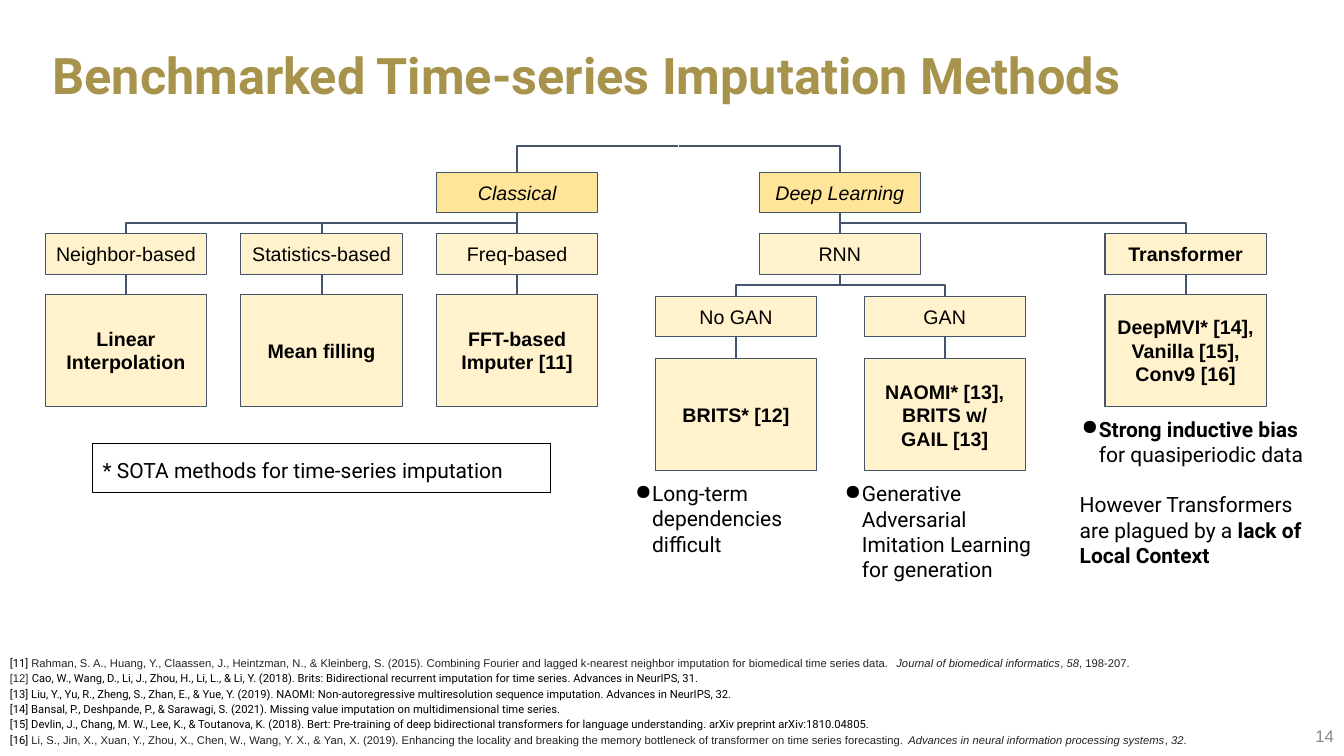
from lxml.etree import SubElement
from pptx import Presentation
from pptx.dml.color import RGBColor
from pptx.enum.shapes import MSO_CONNECTOR, MSO_SHAPE
from pptx.enum.text import MSO_ANCHOR, MSO_AUTO_SIZE, PP_ALIGN
from pptx.oxml.ns import qn
from pptx.util import Inches, Pt

SLIDE_W, SLIDE_H = 13.33, 7.5
BLACK, GREY, SLATE, WHITE = "000000", "222222", "44546A", "FFFFFF"
HEAD_FILL, BOX_FILL = "FFE599", "FFF2CC"
BOX_W, BOX_H, LEAF_H = 1.6, 0.4, 1.11

# Centre lines of the tree columns
NEIGHBOR, STATISTICS, CLASSICAL = [1.25 + 1.94 * i for i in range(3)]
DEEP, TRANSFORMER = 8.33, 11.76
NO_GAN, GAN = DEEP - 1.03, DEEP + 1.04
ROOT_X = (CLASSICAL + DEEP) / 2
# Tops of the tree rows
ROOT_Y, HEAD_Y, FAMILY_Y, LEAF_Y, SUB_Y, SUB_LEAF_Y = 1.45, 1.71, 2.32, 2.92, 2.94, 3.56

REFERENCES = [
    [("[11] ", {}),
     ("Rahman, S. A., Huang, Y., Claassen, J., Heintzman, N., & Kleinberg, S. (2015). Combining Fourier "
      "and lagged k-nearest neighbor imputation for biomedical time series data.  ", "cite"),
     ("Journal of biomedical informatics", "source"), (", ", "cite"), ("58", "source"), (", 198-207.", "cite")],
    [("[12] ", "cite"),
     ("Cao, W., Wang, D., Li, J., Zhou, H., Li, L., & Li, Y. (2018). Brits: Bidirectional recurrent "
      "imputation for time series. Advances in NeurIPS, 31.", {})],
    [("[13] Liu, Y., Yu, R., Zheng, S., Zhan, E., & Yue, Y. (2019). NAOMI: Non-autoregressive "
      "multiresolution sequence imputation. Advances in NeurIPS, 32.", {})],
    [("[14] Bansal, P., Deshpande, P., & Sarawagi, S. (2021). Missing value imputation on "
      "multidimensional time series.", {})],
    [("[15] Devlin, J., Chang, M. W., Lee, K., & Toutanova, K. (2018). Bert: Pre-training of deep "
      "bidirectional transformers for language understanding. arXiv preprint arXiv:1810.04805.", {})],
    [("[16] ", {}),
     ("Li, S., Jin, X., Xuan, Y., Zhou, X., Chen, W., Wang, Y. X., & Yan, X. (2019). Enhancing the locality "
      "and breaking the memory bottleneck of transformer on time series forecasting. ", "cite"),
     ("Advances in neural information processing systems", "source"), (", ", "cite"), ("32", "source"),
     (".", "cite")],
]
STYLES = {"cite": dict(font="Arial", color=GREY),
          "source": dict(font="Arial", color=GREY, italic=True)}


def rgb(color):
    return RGBColor.from_string(color)


def add_run(p, text, size, font="Roboto", color=BLACK, bold=False, italic=False):
    r = p.add_run()
    r.text = text
    f = r.font
    f.name, f.size, f.bold, f.italic = font, Pt(size), bold, italic
    f.color.rgb = rgb(color)


def set_frame(tf, anchor=MSO_ANCHOR.TOP, inset_y=0.1):
    tf.word_wrap = True
    tf.vertical_anchor = anchor
    tf.margin_left = tf.margin_right = Inches(0.1)
    tf.margin_top = tf.margin_bottom = Inches(inset_y)


def add_bullet(p):
    pPr = p._p.get_or_add_pPr()
    pPr.set("marL", str(Inches(0.19)))
    pPr.set("indent", str(-Inches(0.17)))
    SubElement(SubElement(pPr, qn("a:buClr")), qn("a:srgbClr")).set("val", BLACK)
    SubElement(pPr, qn("a:buChar")).set("char", "●")


def add_text(s, left, top, width, height):
    tb = s.shapes.add_textbox(Inches(left), Inches(top), Inches(width), Inches(height))
    set_frame(tb.text_frame)
    tb.text_frame.auto_size = MSO_AUTO_SIZE.SHAPE_TO_FIT_TEXT
    return tb


def add_note(s, left, top, width, height, *runs):
    """Bulleted remark below a leaf, given as (text, bold) runs."""
    tf = add_text(s, left, top, width, height).text_frame
    p = tf.paragraphs[0]
    add_bullet(p)
    for text, bold in runs:
        add_run(p, text, 15, bold=bold)
    return tf


def add_rect(s, left, top, width, height, fill, line):
    sp = s.shapes.add_shape(MSO_SHAPE.RECTANGLE, Inches(left), Inches(top), Inches(width), Inches(height))
    sp.shadow.inherit = False
    sp.fill.solid()
    sp.fill.fore_color.rgb = rgb(fill)
    sp.line.color.rgb = rgb(line)
    sp.line.width = Pt(0.75)
    return sp


def add_box(s, center, top, text, height=BOX_H, fill=BOX_FILL, bold=False, italic=False):
    sp = add_rect(s, center - BOX_W / 2, top, BOX_W, height, fill, SLATE)
    set_frame(sp.text_frame, MSO_ANCHOR.MIDDLE)
    p = sp.text_frame.paragraphs[0]
    p.alignment = PP_ALIGN.CENTER
    for i, part in enumerate(text.split("\n")):
        if i:
            p.add_line_break()
        add_run(p, part, 14, "Arial", bold=bold, italic=italic)
    return sp


def add_leaf(s, center, top, text):
    return add_box(s, center, top, text, LEAF_H, bold=True)


def add_line(s, kind, x1, y1, x2, y2):
    c = s.shapes.add_connector(kind, *[Inches(v) for v in (x1, y1, x2, y2)])
    c.line.color.rgb = rgb(SLATE)
    c.line.width = Pt(1.5)
    SubElement(c._element.spPr, qn("a:effectLst"))
    return c


def link(s, parent, child):
    """Straight line from the bottom of one box to the top of the next."""
    c = add_line(s, MSO_CONNECTOR.STRAIGHT, 0, 0, 0, 0)
    c.begin_connect(parent, 2)
    c.end_connect(child, 0)


def add_corner(s, x1, y1, x2, y2):
    """Line that runs sideways, then down."""
    c = add_line(s, MSO_CONNECTOR.ELBOW, x1, y1, x2, y2)
    c._element.spPr.find(qn("a:prstGeom")).set("prst", "bentConnector2")


def add_branch(s, x1, y1, x2, y2):
    """Line that runs down, sideways and down again, as a rotated elbow."""
    w, h = y2 - y1, abs(x2 - x1)
    left, top = (x1 + x2 - w) / 2, (y1 + y2 - h) / 2
    c = add_line(s, MSO_CONNECTOR.ELBOW, left, top, left + w, top + h)
    xfrm = c._element.spPr.find(qn("a:xfrm"))
    xfrm.set("rot", str((90 if x2 < x1 else 270) * 60000))
    if x2 > x1:
        xfrm.set("flipH", "1")


def add_title(s, text):
    title = s.shapes.title
    title.left, title.top, title.width, title.height = [Inches(v) for v in (0.42, 0.22, 12.5, 1.11)]
    set_frame(title.text_frame, MSO_ANCHOR.MIDDLE, 0.05)
    p = title.text_frame.paragraphs[0]
    p.alignment, p.line_spacing = PP_ALIGN.LEFT, 0.9
    add_run(p, text, 36, color="A7934B", bold=True)


def add_page_number(s, number):
    add_rect(s, 10.43, 6.22, 2.56, 1.28, WHITE, WHITE)
    tf = add_text(s, 10.33, 7.1, 3, 0.4).text_frame
    tf.auto_size = MSO_AUTO_SIZE.NONE
    set_frame(tf, MSO_ANCHOR.MIDDLE, 0.05)
    tf.paragraphs[0].alignment = PP_ALIGN.RIGHT
    add_run(tf.paragraphs[0], number, 12, "Arial", "888888")


def add_references(s):
    tf = add_text(s, 0, 6.39, 13.1, 1.13).text_frame
    for i, runs in enumerate(REFERENCES):
        p = tf.add_paragraph() if i else tf.paragraphs[0]
        p.line_spacing = 1.15
        for text, style in runs:
            add_run(p, text, 8, **(STYLES[style] if style else {}))


def add_tree(s):
    classical = add_box(s, CLASSICAL, HEAD_Y, "Classical", fill=HEAD_FILL, italic=True)
    deep = add_box(s, DEEP, HEAD_Y, "Deep Learning", fill=HEAD_FILL, italic=True)
    families = {}
    for x, name, leaf in [(NEIGHBOR, "Neighbor-based", "Linear Interpolation"),
                          (STATISTICS, "Statistics-based", "Mean filling"),
                          (CLASSICAL, "Freq-based", "FFT-based Imputer [11]"),
                          (TRANSFORMER, "Transformer", "DeepMVI* [14], Vanilla [15], Conv9 [16]")]:
        families[x] = add_box(s, x, FAMILY_Y, name, bold=x == TRANSFORMER)
        link(s, families[x], add_leaf(s, x, LEAF_Y, leaf))
    rnn = add_box(s, DEEP, FAMILY_Y, "RNN")
    for x, name, leaf in [(NO_GAN, "No GAN", "BRITS* [12]"),
                          (GAN, "GAN", "NAOMI* [13],\nBRITS w/\nGAIL [13]")]:
        link(s, add_box(s, x, SUB_Y, name), add_leaf(s, x, SUB_LEAF_Y, leaf))
        add_branch(s, DEEP, FAMILY_Y + BOX_H, x, SUB_Y)

    link(s, classical, families[CLASSICAL])
    link(s, deep, rnn)
    head_bottom = HEAD_Y + BOX_H
    add_branch(s, CLASSICAL, head_bottom, STATISTICS, FAMILY_Y)
    add_branch(s, DEEP, head_bottom, TRANSFORMER, FAMILY_Y)
    add_corner(s, STATISTICS, (head_bottom + FAMILY_Y) / 2, NEIGHBOR, FAMILY_Y)
    for x in (CLASSICAL, DEEP):
        add_corner(s, ROOT_X, ROOT_Y, x, HEAD_Y)


def add_notes(s):
    sub_bottom = SUB_LEAF_Y + LEAF_H
    add_note(s, 6.18, sub_bottom, 2.26, 0.96, ("Long-term dependencies difficult", False))
    add_note(s, 8.26, sub_bottom, 2.26, 1.21,
             ("Generative Adversarial Imitation Learning for generation", False))
    tf = add_note(s, 10.61, LEAF_Y + LEAF_H, 2.62, 1.77,
                  ("Strong inductive bias", True), (" for quasiperiodic data", False))
    p = tf.add_paragraph()
    p.space_before = Pt(18)
    add_run(p, "However Transformers are plagued by a ", 15)
    add_run(p, "lack of Local Context", 15, bold=True)

    legend = add_text(s, 0.92, 4.4, 4.54, 0.49)
    legend.line.color.rgb = rgb(BLACK)
    legend.line.width = Pt(0.75)
    p = legend.text_frame.paragraphs[0]
    p.line_spacing = 1.15
    add_run(p, "* SOTA methods for time-series imputation", 15)


def main():
    prs = Presentation()
    prs.slide_width, prs.slide_height = Inches(SLIDE_W), Inches(SLIDE_H)
    s = prs.slides.add_slide(prs.slide_layouts[5])
    add_page_number(s, "14")
    add_title(s, "Benchmarked Time-series Imputation Methods")
    add_references(s)
    add_tree(s)
    add_notes(s)
    prs.save("out.pptx")


if __name__ == "__main__":
    main()
